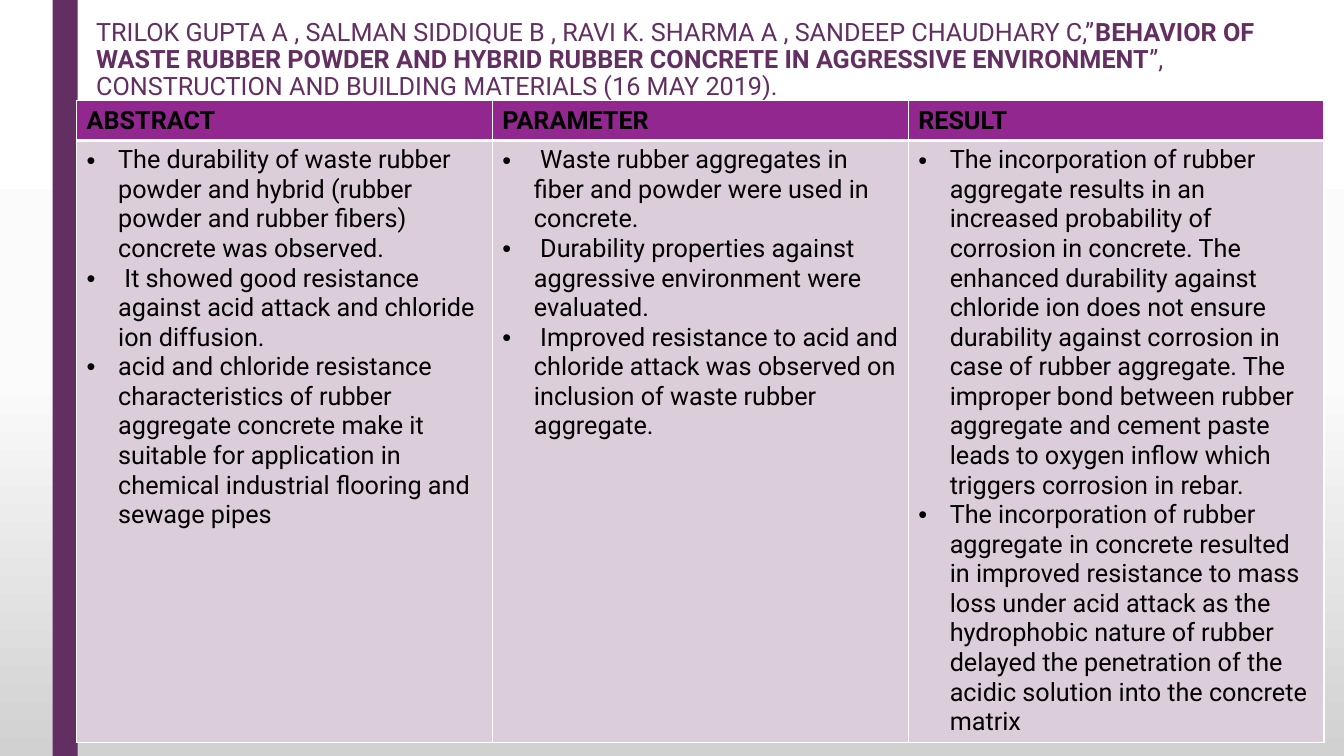
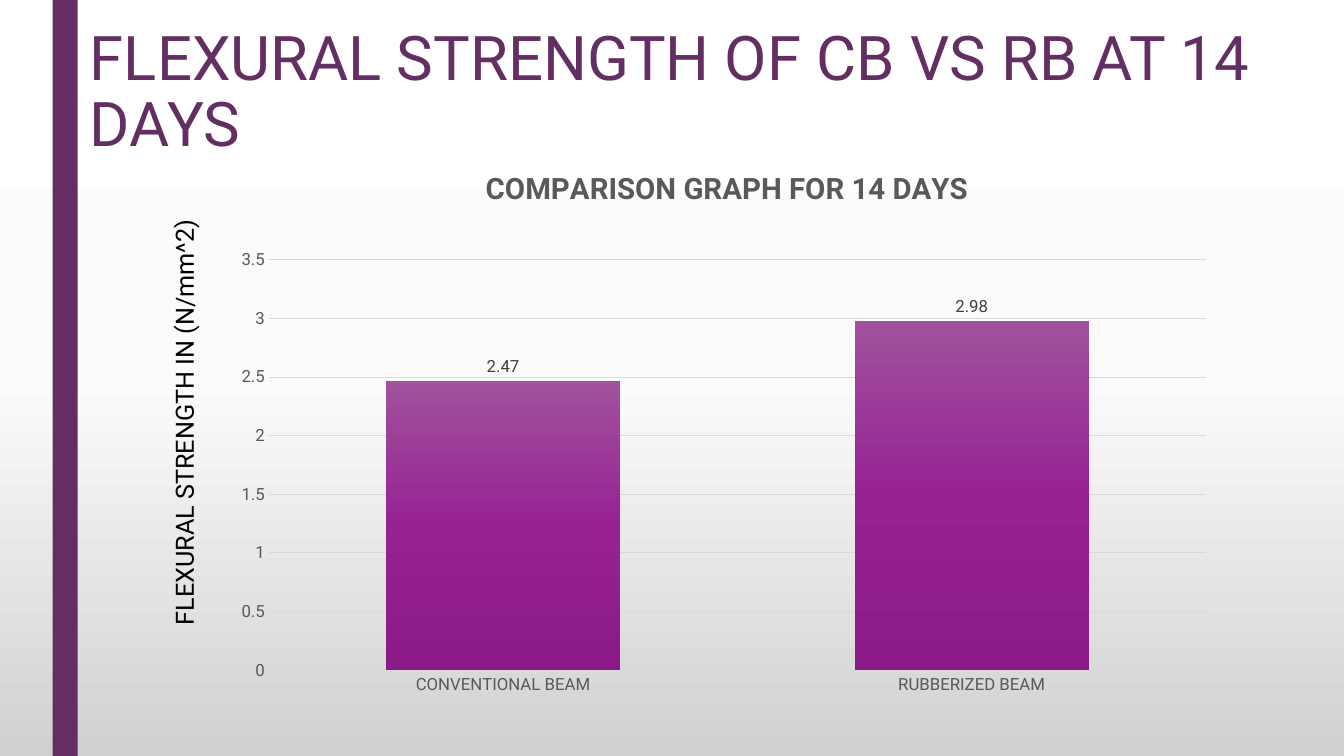
from dataclasses import dataclass

from lxml.etree import SubElement
from pptx import Presentation
from pptx.chart.data import CategoryChartData
from pptx.dml.color import RGBColor
from pptx.enum.chart import XL_CHART_TYPE as ChartType, XL_LABEL_POSITION as LabelPosition
from pptx.enum.chart import XL_TICK_MARK as TickMark
from pptx.enum.shapes import MSO_SHAPE as Preset
from pptx.enum.text import MSO_ANCHOR as Anchor, MSO_AUTO_SIZE as AutoSize, PP_ALIGN as Align
from pptx.oxml.ns import qn
from pptx.util import Emu, Pt

PX = 9525
FONT = "Roboto"
COLORS = {
    "plum": "632E62",
    "header": "92278F",
    "body": "DCCDDB",
    "white": "FFFFFF",
    "black": "000000",
    "axis": "595959",
    "label": "404040",
    "grid": "D9D9D9",
}
PAGE_GRADIENT = {0: "FFFFFF", 50: "FBFBFB", 100: "D1D1D1"}
BAR_GRADIENT = {0: "A0529D", 50: "972294", 100: "8B1988"}


@dataclass(frozen=True)
class Box:
    left: int
    top: int
    width: int
    height: int

    def emu(self) -> tuple[Emu, ...]:
        return tuple(Emu(v * PX) for v in (self.left, self.top, self.width, self.height))


@dataclass(frozen=True)
class Phrase:
    text: str
    bold: bool = False


@dataclass(frozen=True)
class Column:
    heading: str
    points: tuple[str, ...]


BAND = Box(50, 0, 24, 720)
CITATION = (
    Phrase("TRILOK GUPTA A , SALMAN SIDDIQUE B , RAVI K. SHARMA A , SANDEEP CHAUDHARY C,”"),
    Phrase("BEHAVIOR OF WASTE RUBBER POWDER AND HYBRID RUBBER CONCRETE IN AGGRESSIVE ENVIRONMENT", True),
    Phrase("”, CONSTRUCTION AND BUILDING MATERIALS (16 MAY 2019)."),
)
REVIEW = (
    Column("ABSTRACT", (
        "The durability of waste rubber powder and hybrid (rubber powder and rubber fibers) "
        "concrete was observed.",
        " It showed good resistance against acid attack and chloride ion diffusion.",
        "acid and chloride resistance characteristics of rubber aggregate concrete make it "
        "suitable for application in chemical industrial flooring and sewage pipes",
    )),
    Column("PARAMETER", (
        " Waste rubber aggregates in fiber and powder were used in concrete.",
        " Durability properties against aggressive environment were evaluated.",
        " Improved resistance to acid and chloride attack was observed on inclusion of waste "
        "rubber aggregate.",
    )),
    Column("RESULT", (
        "The incorporation of rubber aggregate results in an increased probability of corrosion "
        "in concrete. The enhanced durability against chloride ion does not ensure durability "
        "against corrosion in case of rubber aggregate. The improper bond between rubber "
        "aggregate and cement paste leads to oxygen inflow which triggers corrosion in rebar.",
        "The incorporation of rubber aggregate in concrete resulted in improved resistance to "
        "mass loss under acid attack as the hydrophobic nature of rubber delayed the penetration "
        "of the acidic solution into the concrete matrix",
    )),
)


def rgb(color: str) -> RGBColor:
    return RGBColor.from_string(COLORS[color])


def style_font(font, size: int, color: str, bold: bool = False) -> None:
    font.name = FONT
    font.size = Pt(size)
    font.bold = bold
    font.color.rgb = rgb(color)


def set_gradient(fill, owner, stops: dict[int, str]) -> None:
    fill.gradient()
    fill.gradient_angle = 270
    stop_list = owner.find(f".//{qn('a:gsLst')}")
    for old in list(stop_list):
        stop_list.remove(old)
    for position, color in stops.items():
        stop = SubElement(stop_list, qn("a:gs"), pos=str(position * 1000))
        SubElement(stop, qn("a:srgbClr"), val=color)


def add_title_slide(prs, place: Box, phrases: tuple[Phrase, ...], size: int):
    slide = prs.slides.add_slide(prs.slide_layouts[5])
    title = slide.shapes.title
    title.left, title.top, title.width, title.height = place.emu()
    frame = title.text_frame
    frame.word_wrap = True
    frame.auto_size = AutoSize.NONE
    frame.vertical_anchor = Anchor.TOP
    paragraph = frame.paragraphs[0]
    paragraph.alignment = Align.LEFT
    paragraph.line_spacing = 0.89
    for phrase in phrases:
        run = paragraph.add_run()
        run.text = phrase.text
        style_font(run.font, size, "plum", phrase.bold)
    return slide


def share_band(slide) -> None:
    band = slide.shapes.add_shape(Preset.RECTANGLE, *BAND.emu())
    band.shadow.inherit = False
    band.fill.solid()
    band.fill.fore_color.rgb = rgb("plum")
    band.line.fill.background()
    band.element.find(f".//{qn('p:cNvPr')}").set("id", "99")
    slide.slide_layout.shapes.element.append(band.element)


def fill_cell(cell, lines: tuple[str, ...], color: str, edges: dict[str, int], heading: bool) -> None:
    properties = cell._tc.get_or_add_tcPr()
    for edge, points in edges.items():
        line = SubElement(properties, qn(f"a:ln{edge}"), w=str(Pt(points)))
        SubElement(SubElement(line, qn("a:solidFill")), qn("a:srgbClr"), val=COLORS["white"])
    cell.fill.solid()
    cell.fill.fore_color.rgb = rgb(color)
    cell.text_frame.text = "\n".join(lines)
    for paragraph in cell.text_frame.paragraphs:
        if not heading:
            layout = paragraph._p.get_or_add_pPr()
            layout.set("marL", str(30 * PX))
            layout.set("indent", str(-30 * PX))
            SubElement(layout, qn("a:buFont"), typeface="Arial")
            SubElement(layout, qn("a:buChar"), char="•")
        for run in paragraph.runs:
            style_font(run.font, 18, "black", heading)


def add_review(slide, place: Box, heading_height: int) -> None:
    table = slide.shapes.add_table(2, len(REVIEW), *place.emu()).table
    table.horz_banding = False
    table.rows[0].height = Emu(heading_height * PX)
    table.rows[1].height = Emu((place.height - heading_height) * PX)
    for index, column in enumerate(REVIEW):
        fill_cell(table.cell(0, index), (column.heading,), "header",
                  {"L": 1, "R": 1, "T": 1, "B": 3}, True)
        fill_cell(table.cell(1, index), column.points, "body",
                  {"L": 1, "R": 1, "T": 3, "B": 1}, False)


def place_in_chart(part, fractions: dict[str, float], inner: bool = False) -> None:
    layout = part.find(qn("c:layout"))
    if layout is None:
        layout = SubElement(part, qn("c:layout"))
        part.remove(layout)
        text = part.find(qn("c:tx"))
        part.insert(0 if text is None else part.index(text) + 1, layout)
    manual = SubElement(layout, qn("c:manualLayout"))
    if inner:
        SubElement(manual, qn("c:layoutTarget"), val="inner")
    for axis in "xy":
        SubElement(manual, qn(f"c:{axis}Mode"), val="edge")
    for key, value in fractions.items():
        SubElement(manual, qn(f"c:{key}"), val=str(value))


def add_strength_chart(slide, place: Box) -> None:
    data = CategoryChartData()
    data.categories = ["CONVENTIONAL BEAM", "RUBBERIZED BEAM"]
    data.add_series("Series 1", (2.47, 2.98))
    chart = slide.shapes.add_chart(ChartType.COLUMN_CLUSTERED, *place.emu(), data).chart
    style_font(chart.font, 10, "black")
    chart.has_legend = False
    chart.has_title = True
    heading = chart.chart_title.text_frame
    heading.text = "COMPARISON GRAPH FOR 14 DAYS"
    style_font(heading.paragraphs[0].runs[0].font, 21, "axis", True)
    chart.chart_title.include_in_layout = False

    for axis in (chart.category_axis, chart.value_axis):
        axis.major_tick_mark = axis.minor_tick_mark = TickMark.NONE
        style_font(axis.tick_labels.font, 12, "axis")
    chart.category_axis.format.line.color.rgb = rgb("grid")
    chart.category_axis.format.line.width = Pt(1)
    strength = chart.value_axis
    strength.minimum_scale, strength.maximum_scale, strength.major_unit = 0, 3.5, 0.5
    strength.format.line.fill.background()
    strength.major_gridlines.format.line.color.rgb = rgb("grid")
    strength.major_gridlines.format.line.width = Pt(0.75)

    plot = chart.plots[0]
    plot.vary_by_categories = False
    plot.gap_width, plot.overlap = 100, -24
    beams = plot.series[0]
    set_gradient(beams.format.fill, chart.element, BAR_GRADIENT)
    labels = beams.data_labels
    labels.show_value = True
    labels.position = LabelPosition.OUTSIDE_END
    style_font(labels.font, 12, "label")

    place_in_chart(chart.element.find(f".//{qn('c:title')}"), {"x": 0.26, "y": 0.05})
    place_in_chart(chart.element.find(f".//{qn('c:plotArea')}"),
                   {"x": 0.05, "y": 0.22, "w": 0.93, "h": 0.72}, inner=True)


def add_axis_caption(slide, place: Box, text: str) -> None:
    caption = slide.shapes.add_textbox(*place.emu())
    frame = caption.text_frame
    frame.word_wrap = False
    frame.auto_size = AutoSize.SHAPE_TO_FIT_TEXT
    caption.element.find(f".//{qn('a:bodyPr')}").set("vert", "vert270")
    frame.text = text
    style_font(frame.paragraphs[0].runs[0].font, 18, "black")


def main() -> None:
    prs = Presentation()
    prs.slide_width, prs.slide_height = Emu(1280 * PX), Emu(720 * PX)
    master = prs.slide_master
    set_gradient(master.background.fill, master.element, PAGE_GRADIENT)

    review = add_title_slide(prs, Box(82, 14, 1132, 100), CITATION, 18)
    share_band(review)
    add_review(review, Box(73, 96, 1188, 610), 37)

    comparison = add_title_slide(
        prs, Box(76, 22, 1188, 106), (Phrase("FLEXURAL STRENGTH OF CB VS RB AT 14 DAYS"),), 44)
    add_strength_chart(comparison, Box(208, 128, 960, 543))
    add_axis_caption(comparison, Box(156, 233, 48, 372), "FLEXURAL STRENGTH IN (N/mm^2)")
    prs.save("out.pptx")


if __name__ == "__main__":
    main()
